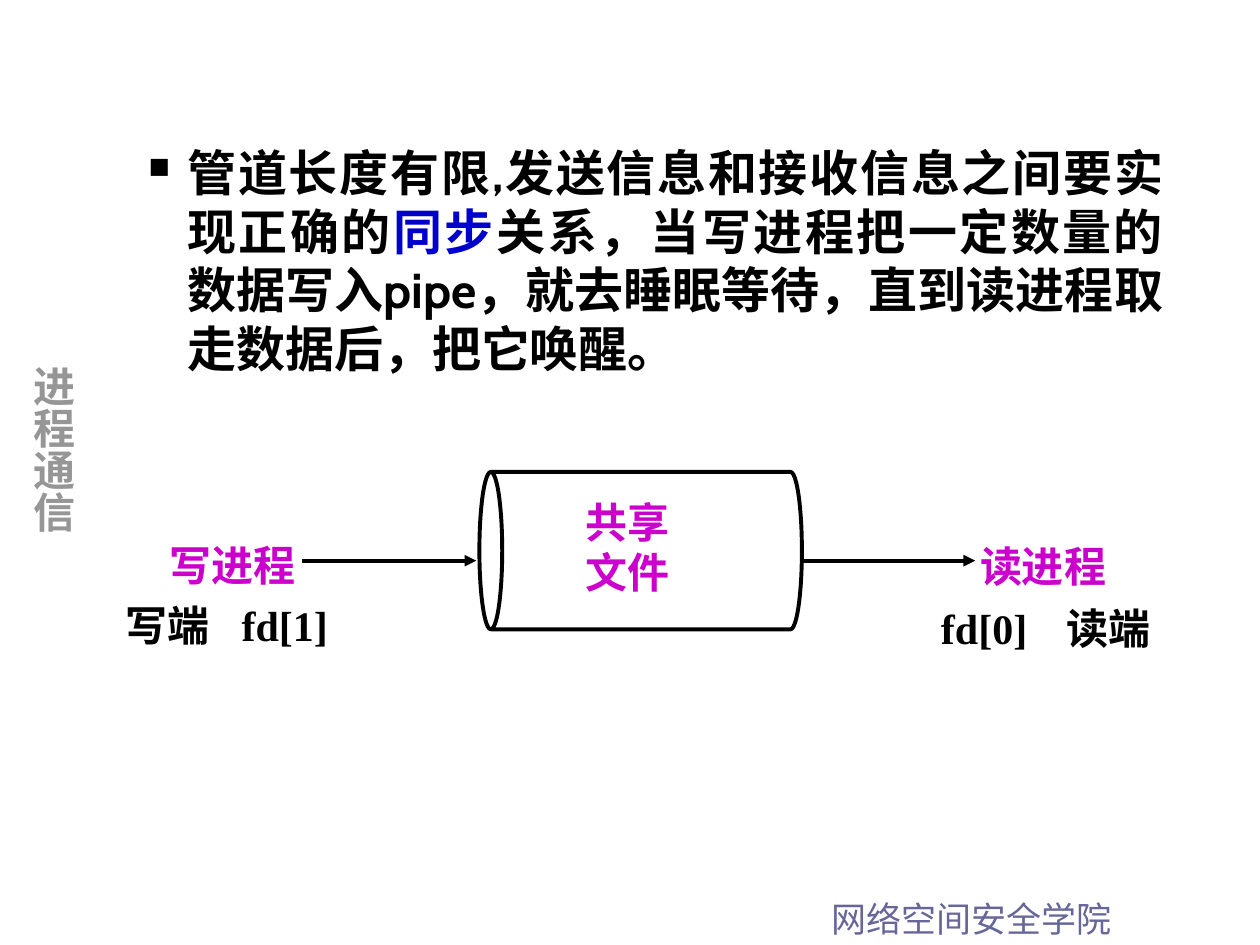
from lxml import etree
from pptx import Presentation
from pptx.dml.color import RGBColor
from pptx.enum import shapes, text
from pptx.oxml import ns
from pptx.util import Pt

PX = 9144  # EMU per px, 100 px to the inch
BLACK = RGBColor(0x00, 0x00, 0x00)
WHITE = RGBColor(0xFF, 0xFF, 0xFF)
BLUE = RGBColor(0x00, 0x00, 0xCC)
MAGENTA = RGBColor(0xCC, 0x00, 0xCC)
GRAY = RGBColor(0x96, 0x96, 0x96)
SLATE = RGBColor(0x66, 0x66, 0x99)
BODY_FONT = "Cabin"
LABEL_FONT = "Noto Sans CJK SC"
SIDE_FONT = "Noto Sans CJK JP"
SERIF_FONT = "Times New Roman"


def add_run(paragraph, content, *, font, east_asian=None, size=24, color=BLACK, bold=True):
    run = paragraph.add_run()
    run.text = content
    run.font.name = font
    run.font.size = Pt(size)
    run.font.bold = bold
    run.font.color.rgb = color
    element = etree.SubElement(run.font._element, ns.qn("a:ea"))
    element.set("typeface", east_asian or font)


class SlideBuilder:
    line_width = Pt(2.25)

    def __init__(self, slide):
        self.slide = slide

    def text_box(self, box, lines=(), align=text.PP_ALIGN.LEFT, fill=None, **style):
        shape = self.slide.shapes.add_textbox(*(value * PX for value in box))
        frame = shape.text_frame
        frame.word_wrap = True
        if fill is not None:
            shape.fill.solid()
            shape.fill.fore_color.rgb = fill
        for index, line in enumerate(lines):
            paragraph = frame.add_paragraph() if index else frame.paragraphs[0]
            paragraph.alignment = align
            add_run(paragraph, line, **style)
        return frame

    def vertical_text(self, box, content, **style):
        frame = self.text_box(box, [content], text.PP_ALIGN.CENTER, **style)
        frame.margin_left = frame.margin_right = 5 * PX
        frame.margin_top = frame.margin_bottom = 10 * PX
        frame._element.bodyPr.set("vert", "eaVert")

    def bullet(self, box, parts, **style):
        paragraph = self.text_box(box).paragraphs[0]
        paragraph.alignment = text.PP_ALIGN.JUSTIFY
        properties = paragraph._element.get_or_add_pPr()
        properties.set("marL", str(81 * PX))
        properties.set("indent", str(-31 * PX))
        color = etree.SubElement(properties, ns.qn("a:buClr"))
        etree.SubElement(color, ns.qn("a:srgbClr")).set("val", str(BLACK))
        etree.SubElement(properties, ns.qn("a:buSzPct")).set("val", "60000")
        etree.SubElement(properties, ns.qn("a:buChar")).set("char", "■")
        for content, part_color in parts:
            add_run(paragraph, content, color=part_color, **style)

    def pipe(self, box, depth):
        shape = self.slide.shapes.add_shape(
            shapes.MSO_SHAPE.CAN, *(value * PX for value in box))
        shape.shadow.inherit = False
        shape.adjustments[0] = depth
        shape.rotation = 270
        shape.fill.solid()
        shape.fill.fore_color.rgb = WHITE
        shape.line.color.rgb = BLACK
        shape.line.width = self.line_width

    def arrow(self, left, right, y):
        connector = self.slide.shapes.add_connector(
            shapes.MSO_CONNECTOR.STRAIGHT, left * PX, y * PX, right * PX, y * PX)
        connector.line.color.rgb = BLACK
        connector.line.width = self.line_width
        line = connector.line._get_or_add_ln()
        etree.SubElement(line, ns.qn("a:tailEnd")).set("type", "triangle")
        etree.SubElement(connector._element.spPr, ns.qn("a:effectLst"))


def main():
    presentation = Presentation()
    presentation.slide_width = 1000 * PX
    presentation.slide_height = 750 * PX
    builder = SlideBuilder(presentation.slides.add_slide(presentation.slide_layouts[6]))

    # Footer and side title
    builder.text_box((650, 707, 350, 44), ["网络空间安全学院"],
                     font=SIDE_FONT, size=20, color=SLATE, bold=False)
    builder.vertical_text((7, 280, 60, 156), "进程通信", font=SIDE_FONT, color=GRAY)

    # Explanation
    builder.bullet((58, 108, 875, 567), [
        ("管道长度有限,发送信息和接收信息之间要实现正确的", BLACK),
        ("同步", BLUE),
        ("关系，当写进程把一定数量的数据写入pipe，就去睡眠等待，"
         "直到读进程取走数据后，把它唤醒。", BLACK),
    ], font=BODY_FONT, size=28)

    # Shared file drawn as a pipe
    builder.pipe((446, 309, 125, 256), depth=0.145)
    builder.text_box((455, 389, 135, 108), ["共享", "文件"], text.PP_ALIGN.JUSTIFY, fill=WHITE,
                     font=SERIF_FONT, east_asian=LABEL_FONT, color=MAGENTA)

    # Data flow from writer to reader
    for left in (240, 636):
        builder.arrow(left, left + 138, 445)
    for left, top, process in ((125, 423, "写进程"), (768, 424, "读进程")):
        builder.text_box((left, top, 124, 50), [process], font=LABEL_FONT, color=MAGENTA)
    for left, top, end in ((82, 471, "\u00a0写端\tfd[1]"), (737, 473, "fd[0]\t读端")):
        builder.text_box((left, top, 220, 50), [end], font=SERIF_FONT, east_asian=LABEL_FONT)

    presentation.save("out.pptx")


if __name__ == "__main__":
    main()
